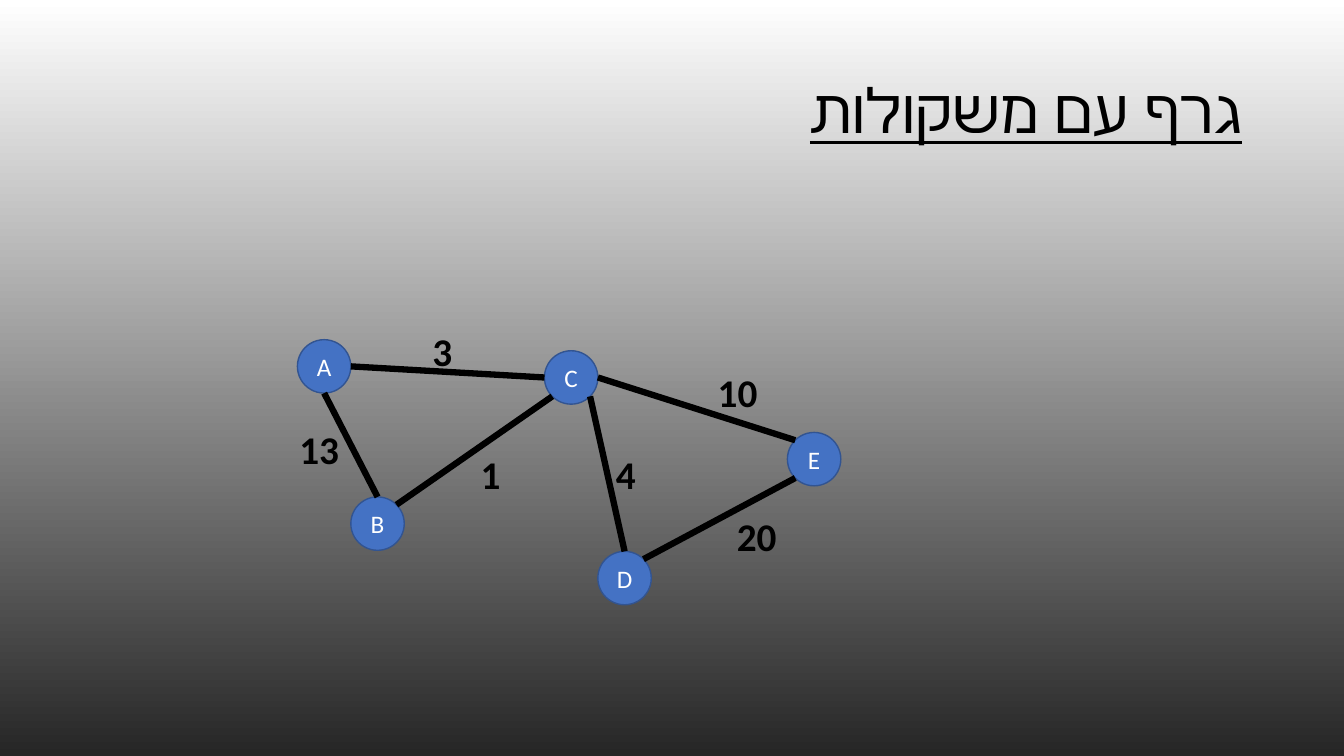
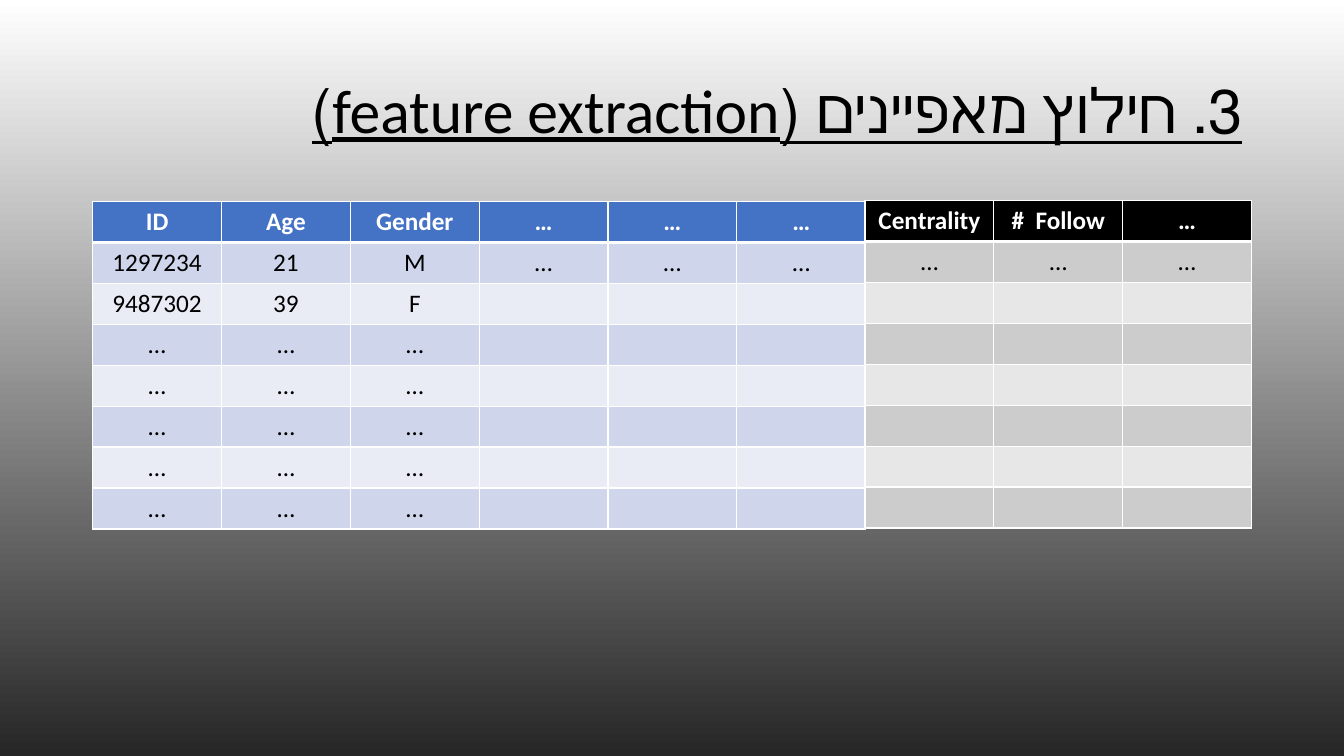
from math import cos, pi, sin

from lxml.etree import SubElement
from pptx import Presentation
from pptx.dml.color import RGBColor
from pptx.enum.shapes import MSO_CONNECTOR, MSO_SHAPE
from pptx.enum.text import MSO_ANCHOR as Anchor, PP_ALIGN as Align
from pptx.oxml.ns import qn
from pptx.util import Inches, Pt

THEME = {
    "font": "Calibri",
    "title_size": 44, "weight_size": 28, "body_size": 18,
    "white": "FFFFFF", "black": "000000", "dark": "262626",
    "blue": "4472C4", "blue_line": "325491",
    "blue_bands": ("CFD5EA", "E9EBF5"),
    "gray_bands": ("CCCCCC", "E7E7E7"),
}


def color(name):
    return RGBColor.from_string(THEME.get(name, name))


def write(frame, text, size="body_size", ink="black", bold=False, underline=False,
          align=Align.LEFT, anchor=Anchor.TOP, spacing=None, rtl=False):
    frame.word_wrap = True
    frame.vertical_anchor = anchor
    para = frame.paragraphs[0]
    para.alignment = align
    para.line_spacing = spacing
    if rtl:
        para._p.get_or_add_pPr().set("rtl", "1")
    span = para.add_run()
    span.text = text
    font = span.font
    font.name, font.size = THEME["font"], Pt(THEME[size])
    font.bold, font.underline = bold, underline
    font.color.rgb = color(ink)


deck = Presentation()
deck.slide_width, deck.slide_height = Inches(13.33), Inches(7.5)

# Pages with the shared background and title
pages = []
for title in ("גרף עם משקולות", "3. חילוץ מאפיינים (feature extraction)"):
    page = deck.slides.add_slide(deck.slide_layouts[6])
    backdrop = page.background.fill
    backdrop.gradient()
    backdrop.gradient_angle = 270
    for stop, name in zip(backdrop.gradient_stops, ("white", "dark")):
        stop.color.rgb = color(name)
    box = page.shapes.add_textbox(Inches(0.92), Inches(0.4), Inches(11.5), Inches(1.45))
    write(box.text_frame, title, size="title_size", underline=True,
          align=Align.RIGHT, anchor=Anchor.MIDDLE, spacing=0.9, rtl=True)
    pages.append(page)
graph_page, table_page = pages

# Graph nodes: left and top of each circle
DIAMETER = 0.53
nodes = {"A": (2.95, 3.37), "B": (3.48, 4.93), "C": (5.4, 3.48),
         "D": (5.93, 5.47), "E": (7.81, 4.29)}
for name, (left, top) in nodes.items():
    node = graph_page.shapes.add_shape(
        MSO_SHAPE.OVAL, Inches(left), Inches(top), Inches(DIAMETER), Inches(DIAMETER))
    node.shadow.inherit = False
    node.fill.solid()
    node.fill.fore_color.rgb = color("blue")
    node.line.color.rgb = color("blue_line")
    node.line.width = Pt(1)
    write(node.text_frame, name, ink="white", align=Align.CENTER, anchor=Anchor.MIDDLE)

# Graph edges: node and site at each end, then weight with its left, top and width
# Sites run counterclockwise from the top of the circle in eighths of a turn
edges = [
    ("A", 6, "C", 2, "3", 4.19, 3.2, 0.53),
    ("A", 4, "B", 0, "13", 2.87, 4.17, 0.73),
    ("B", 7, "C", 3, "1", 4.67, 4.42, 0.53),
    ("C", 5, "D", 0, "4", 6.01, 4.42, 0.53),
    ("C", 6, "E", 1, "10", 7.02, 3.6, 0.75),
    ("D", 7, "E", 3, "20", 7.21, 5.03, 0.67),
]
radius = DIAMETER / 2
for start, start_site, end, end_site, weight, left, top, width in edges:
    points = []
    for name, site in ((start, start_site), (end, end_site)):
        angle = site * pi / 4
        points += [Inches(nodes[name][0] + radius * (1 - sin(angle))),
                   Inches(nodes[name][1] + radius * (1 - cos(angle)))]
    edge = graph_page.shapes.add_connector(MSO_CONNECTOR.STRAIGHT, *points)
    edge.line.color.rgb = color("black")
    edge.line.width = Pt(4.5)
    SubElement(edge._element.spPr, qn("a:effectLst"))
    box = graph_page.shapes.add_textbox(
        Inches(left), Inches(top), Inches(width), Inches(0.57))
    write(box.text_frame, weight, size="weight_size", bold=True)

# Feature tables: left, top, header fill, band fills, rows
COLUMN, ROW, ROW_COUNT = 11.5 / 9, 3.25 / 8, 8
tables = [
    (0.92, 2, "blue", "blue_bands", [
        ["ID", "Age", "Gender", "…", "…", "…"],
        ["1297234", "21", "M", "…", "…", "…"],
        ["9487302", "39", "F"],
        *[["…"] * 3] * 5]),
    (8.58, 1.99, "black", "gray_bands", [
        ["Centrality", "#  Follow", "…"],
        ["…"] * 3]),
]
for left, top, header, bands, rows in tables:
    count = len(rows[0])
    table = table_page.shapes.add_table(
        ROW_COUNT, count, Inches(left), Inches(top),
        Inches(COLUMN * count), Inches(ROW * ROW_COUNT)).table
    table.first_row = table.horz_banding = False
    for r in range(ROW_COUNT):
        is_header = r == 0
        texts = rows[r] if r < len(rows) else []
        for c in range(count):
            cell = table.cell(r, c)
            # Borders come before the fill in the cell properties
            for side in "LRTB":
                heavy = (is_header and side == "B") or (r == 1 and side == "T")
                border = SubElement(cell._tc.get_or_add_tcPr(), qn(f"a:ln{side}"),
                                    w=str(Pt(3 if heavy else 1)))
                paint = SubElement(border, qn("a:solidFill"))
                SubElement(paint, qn("a:srgbClr"), val=THEME["white"])
            cell.fill.solid()
            cell.fill.fore_color.rgb = color(header if is_header else THEME[bands][(r - 1) % 2])
            if c < len(texts):
                write(cell.text_frame, texts[c], ink="white" if is_header else "black",
                      bold=is_header, align=Align.CENTER)

deck.save("out.pptx")
